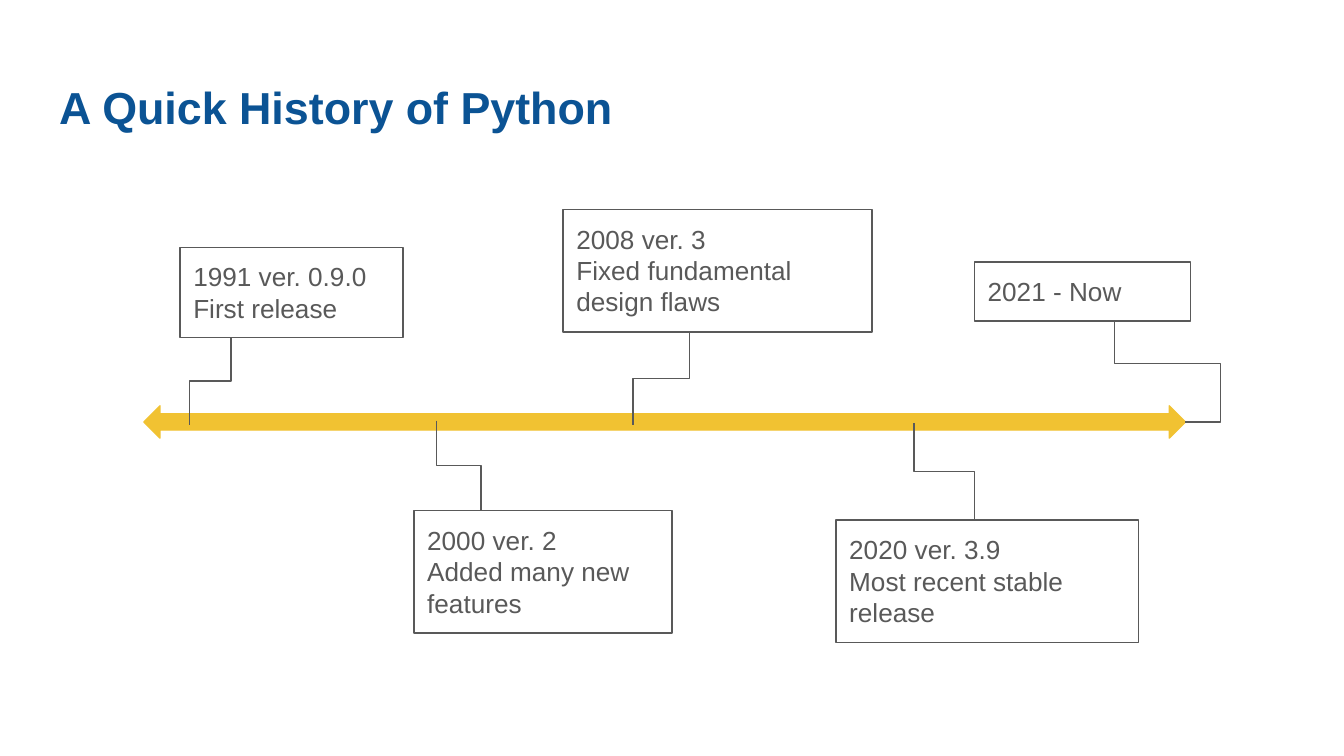
from pptx import Presentation
from pptx.dml.color import RGBColor
from pptx.enum.shapes import MSO_CONNECTOR, MSO_SHAPE
from pptx.enum.text import MSO_ANCHOR, MSO_AUTO_SIZE, PP_ALIGN
from pptx.oxml.ns import qn
from pptx.util import Inches, Pt
from lxml.etree import SubElement

COLORS = {"title": "0B5394", "arrow": "F1C232", "ink": "595959"}
FONT = "Arial"
INSET = 0.1

MILESTONES = [
    (["1991 ver. 0.9.0", "First release"], (1.34, 1.84, 1.66, 0.67), (1.41, 3.16), (1.72, 2.51)),
    (["2000 ver. 2", "Added many new features"], (3.08, 3.8, 1.92, 0.91), (3.25, 3.13), (3.58, 3.8)),
    (["2008 ver. 3", "Fixed fundamental design flaws"], (4.19, 1.56, 2.3, 0.91), (4.71, 3.16), (5.13, 2.47)),
    (["2020 ver. 3.9", "Most recent stable release"], (6.22, 3.87, 2.25, 0.91), (6.8, 3.15), (7.25, 3.87)),
]
NOW = (["2021 - Now"], (7.25, 1.95, 1.61, 0.44), (8.82, 3.14), (8.29, 2.39))


def color(name):
    return RGBColor.from_string(COLORS[name])


def set_line(element, name):
    element.line.color.rgb = color(name)
    element.line.width = Pt(0.75)


def set_frame(frame):
    frame.word_wrap = True
    frame.vertical_anchor = MSO_ANCHOR.TOP
    frame.margin_left = frame.margin_right = Inches(INSET)
    frame.margin_top = frame.margin_bottom = Inches(INSET)


def add_run(paragraph, words, size, name, bold=False):
    paragraph.alignment = PP_ALIGN.LEFT
    run = paragraph.add_run()
    run.text = words
    run.font.name = FONT
    run.font.size = Pt(size)
    run.font.bold = bold
    run.font.color.rgb = color(name)


def add_title(slide, words):
    title = slide.shapes.title
    title.left, title.top, title.width, title.height = map(Inches, (0.34, 0.49, 9.32, 0.63))
    set_frame(title.text_frame)
    title.text_frame.auto_size = MSO_AUTO_SIZE.NONE
    add_run(title.text_frame.paragraphs[0], words, 24, "title", bold=True)


def add_time_arrow(slide):
    arrow = slide.shapes.add_shape(
        MSO_SHAPE.LEFT_RIGHT_ARROW, *map(Inches, (1.07, 3.02, 7.75, 0.24)))
    arrow.shadow.inherit = False
    arrow.fill.solid()
    arrow.fill.fore_color.rgb = color("arrow")
    set_line(arrow, "arrow")


def add_event(slide, lines, place):
    event = slide.shapes.add_shape(MSO_SHAPE.RECTANGLE, *map(Inches, place))
    event.shadow.inherit = False
    event.fill.background()
    set_line(event, "ink")
    frame = event.text_frame
    set_frame(frame)
    frame.auto_size = MSO_AUTO_SIZE.SHAPE_TO_FIT_TEXT
    for index, words in enumerate(lines):
        paragraph = frame.add_paragraph() if index else frame.paragraphs[0]
        add_run(paragraph, words, 14, "ink")


def add_elbow(slide, start, end, degrees, preset="bentConnector3", bends=(0.5,)):
    middle_x, middle_y = ((a + b) / 2 for a, b in zip(start, end))

    def unrotated(point):
        dx, dy = point[0] - middle_x, point[1] - middle_y
        if degrees == 270:
            dx, dy = -dy, dx
        else:
            dx, dy = -dx, -dy
        return Inches(middle_x + dx), Inches(middle_y + dy)

    elbow = slide.shapes.add_connector(
        MSO_CONNECTOR.ELBOW, *unrotated(start), *unrotated(end))
    set_line(elbow, "ink")
    properties = elbow._element.spPr
    properties.find(qn("a:xfrm")).set("rot", str(degrees * 60000))
    geometry = properties.find(qn("a:prstGeom"))
    geometry.set("prst", preset)
    guides = geometry.find(qn("a:avLst"))
    for number, share in enumerate(bends, 1):
        SubElement(guides, qn("a:gd"), name=f"adj{number}", fmla=f"val {round(share * 100000)}")
    SubElement(properties, qn("a:effectLst"))


def main():
    deck = Presentation()
    deck.slide_width = Inches(10)
    deck.slide_height = deck.slide_width * 9 // 16
    slide = deck.slides.add_slide(deck.slide_layouts[5])
    add_title(slide, "A Quick History of Python")
    add_time_arrow(slide)
    for lines, place, start, end in MILESTONES:
        add_elbow(slide, start, end, 270)
        add_event(slide, lines, place)
    lines, place, start, end = NOW
    add_elbow(slide, start, end, 180, "bentConnector4", (-0.49, 0.58))
    add_event(slide, lines, place)
    deck.save("out.pptx")


if __name__ == "__main__":
    main()
